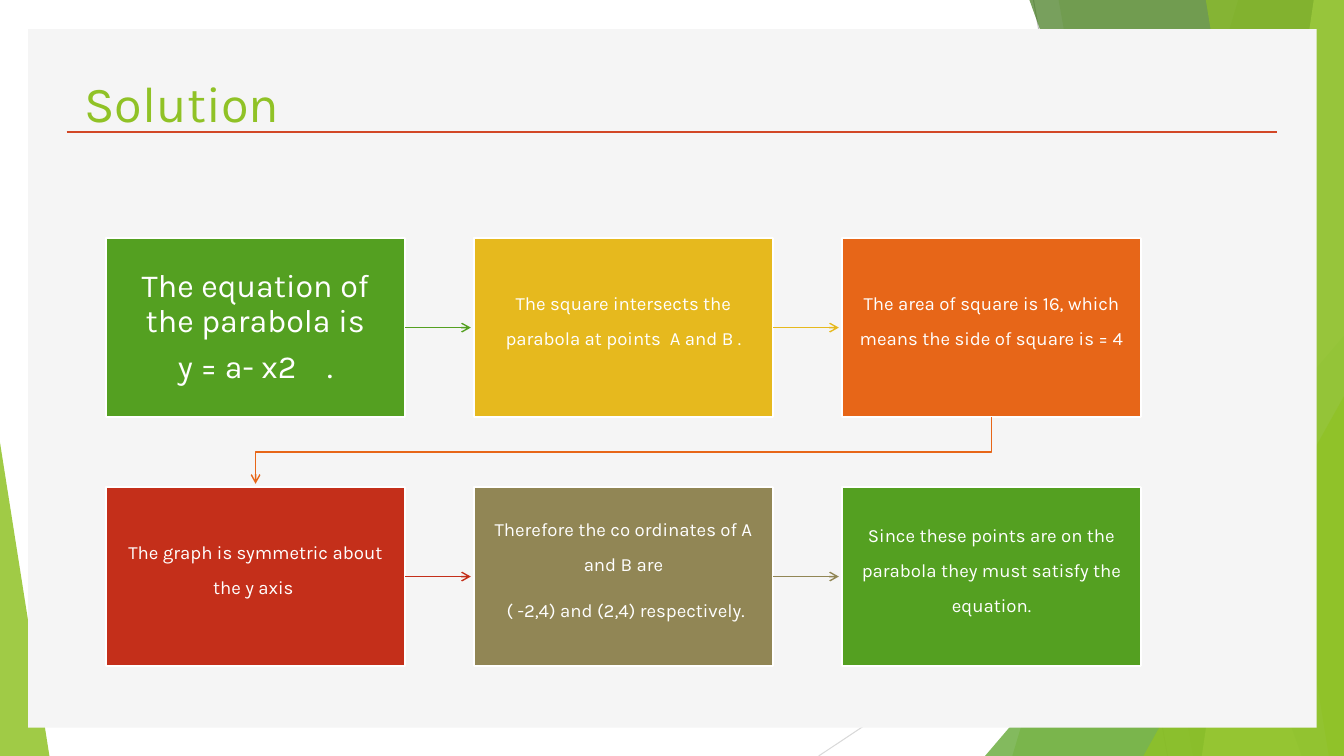
from lxml import etree
from pptx import Presentation
from pptx.dml.color import RGBColor
from pptx.enum.shapes import MSO_CONNECTOR as Link, MSO_SHAPE as Kind
from pptx.enum.text import MSO_ANCHOR as Anchor, PP_ALIGN as Align
from pptx.oxml.ns import qn
from pptx.util import Inches, Pt

WIDE, HIGH = 13.33, 7.5
FONT = "Karla"
TITLE = "Solution"
STEPS = [
    ("54A021", ["The equation of the parabola is", "y = a- x2    ."]),
    ("E6B91E", ["The square intersects the parabola at points  A and B ."]),
    ("E76618", ["The area of square is 16, which means the side of square is = 4"]),
    ("C42F1A", ["The graph is symmetric about the y axis "]),
    ("918655", ["Therefore the co ordinates of A and B are",
                " ( -2,4) and (2,4) respectively."]),
    ("54A021", ["Since these points are on the parabola they must satisfy the equation."]),
]
RAYS = [
    ((10.25, 0), (11.58, HIGH), "BFBFBF"),
    ((WIDE, 4.03), (8.12, HIGH), "D9D9D9"),
]
BACK = [
    (12.28, 10.04, "90C226", 30),
    (10.5, 11.83, "90C226", 20),
]
FRONT = [
    (10.21, 12.91, "3F7819", 70),
    (13.03, 11.92, "C0E474", 70),
    (11.96, 13.18, "90C226", 65),
]
PEAK = (9.77, 3.33, 3.56, 1, "54A021", 72)
SIDES = [
    (11.34, 3.93, 1.99, 1, "90C226", 80),
    (0, 4.39, 0.49, 0, "90C226", 85),
]
COLS = 3
LEFT, TOP = 1.05, 2.36
BOX_W, BOX_H = 2.97, 1.78
STEP_X, STEP_Y = 3.65, 2.47
GAP = 0.03

deck = Presentation()
deck.slide_width, deck.slide_height = Inches(WIDE), Inches(HIGH)
slide = deck.slides.add_slide(deck.slide_layouts[6])
shapes = slide.shapes


def color(code):
    return RGBColor.from_string(code)


def paint(shape, code, alpha=100):
    shape.shadow.inherit = False
    shape.fill.solid()
    shape.fill.fore_color.rgb = color(code)
    shape.line.fill.background()
    if alpha < 100:
        tint = shape.fill._xPr.find(".//" + qn("a:srgbClr"))
        etree.SubElement(tint, qn("a:alpha"), val=str(alpha * 1000))


def stroke(shape, code, width, arrow=False):
    shape.line.color.rgb = color(code)
    shape.line.width = Pt(width)
    if arrow:
        etree.SubElement(shape.line._get_or_add_ln(), qn("a:tailEnd"), type="arrow")


def link(start, end, code, width, arrow=False):
    line = shapes.add_connector(Link.STRAIGHT, *map(Inches, start + end))
    stroke(line, code, width, arrow)
    etree.SubElement(line._element.spPr, qn("a:effectLst"))


def trace(points, close):
    spots = [(Inches(x), Inches(y)) for x, y in points]
    form = shapes.build_freeform(*spots[0])
    form.add_line_segments(spots[1:], close=close)
    return form.convert_to_shape()


def band(top, foot, code, alpha):
    points = [(top, 0), (WIDE, 0), (WIDE, HIGH), (foot, HIGH)]
    paint(trace(points, True), code, alpha)


def block(kind, x, y, w, h, code, alpha=100):
    shape = shapes.add_shape(kind, *map(Inches, (x, y, w, h)))
    paint(shape, code, alpha)
    return shape


def wedge(x, y, w, tip, code, alpha):
    shape = block(Kind.ISOSCELES_TRIANGLE, x, y, w, HIGH - y, code, alpha)
    shape.adjustments[0] = tip


def write(para, text, size, code):
    run = para.add_run()
    run.text = text
    para.font.name, para.font.size = FONT, Pt(size)
    para.font.color.rgb = color(code)
    return run


def fill_box(box, lines, raised):
    frame = box.text_frame
    frame.word_wrap = True
    frame.vertical_anchor = Anchor.MIDDLE
    frame.margin_left = frame.margin_right = Inches(0.15)
    frame.margin_top = frame.margin_bottom = Inches(0.15)
    for i, text in enumerate(lines):
        para = frame.add_paragraph() if i else frame.paragraphs[0]
        para.alignment = Align.CENTER
        para.line_spacing = 0.9
        para.space_after = Pt(8)
        run = write(para, text, 23, "FFFFFF")
        if raised:
            run._r.get_or_add_rPr().set("baseline", "30000")


for start, end, code in RAYS:
    link(start, end, code, 0.75)
for item in BACK:
    band(*item)
wedge(*PEAK)
for item in FRONT:
    band(*item)
for item in SIDES:
    wedge(*item)
block(Kind.RECTANGLE, 0.28, 0.29, 12.78, 6.93, "F5F5F5")
link((0.66, 1.31), (12.67, 1.31), "D24726", 2)

title = shapes.add_textbox(*map(Inches, (0.74, 0.67, 9.4, 1.44))).text_frame
title.word_wrap = True
write(title.paragraphs[0], TITLE, 36, "90C226")

for i, (code, lines) in enumerate(STEPS):
    row, col = divmod(i, COLS)
    x, y = LEFT + col * STEP_X, TOP + row * STEP_Y
    box = block(Kind.RECTANGLE, x, y, BOX_W, BOX_H, code)
    stroke(box, "FFFFFF", 1.5)
    fill_box(box, lines, i > 0)
    if col < COLS - 1:
        mid = y + BOX_H / 2
        link((x + BOX_W, mid), (x + STEP_X - GAP, mid), code, 1, True)
    elif i < len(STEPS) - 1:
        out, back = x + BOX_W / 2, LEFT + BOX_W / 2
        foot, head = y + BOX_H, y + STEP_Y - GAP
        turn = (foot + y + STEP_Y) / 2
        bend = trace([(out, foot), (out, turn), (back, turn), (back, head)], False)
        bend.shadow.inherit = False
        bend.fill.background()
        stroke(bend, code, 1, True)

deck.save("out.pptx")
